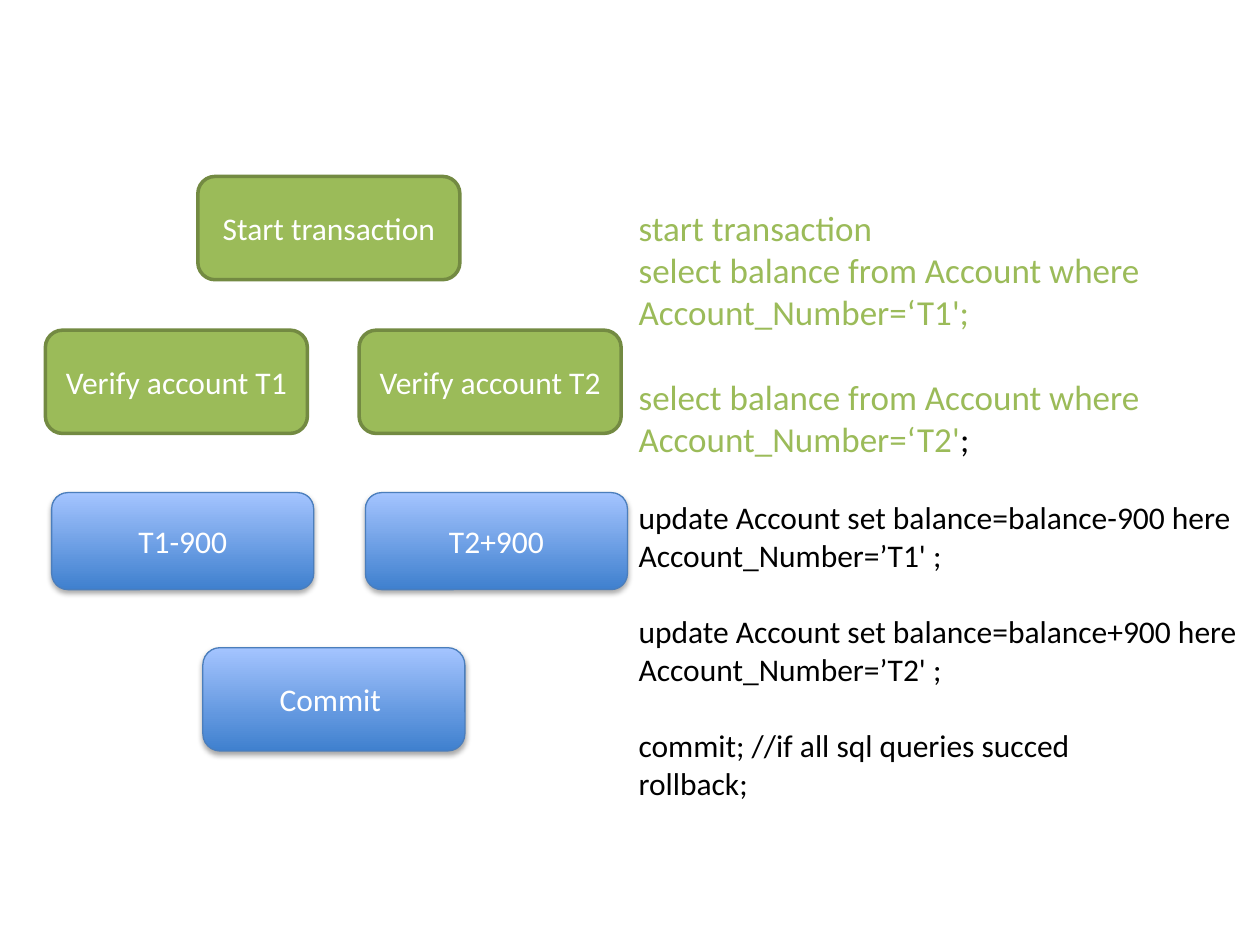
from lxml import etree
from pptx import Presentation
from pptx.dml.color import RGBColor
from pptx.enum import shapes, text
from pptx.oxml import ns
from pptx.util import Inches, Pt

HEX = {
    "green": "9BBB59", "moss": "738A42", "blue": "3F80CE",
    "sky": "A4C4FF", "edge": "4B7EBC", "white": "FFFFFF", "black": "000000",
}
FACE = "Calibri"
WIDE = 2.08
STEPS = [
    ("Start transaction", 1.57, 1.4, 0.82, True),
    ("Verify account T1", 0.36, 2.62, 0.82, True),
    ("Verify account T2", 2.85, 2.62, 0.82, True),
    ("T1-900", 0.41, 3.91, 0.77, False),
    ("T2+900", 2.9, 3.91, 0.77, False),
    ("Commit ", 1.61, 5.14, 0.82, False),
]
CODE = [
    ([("start transaction", "green")], 20, 0),
    ([("select balance from Account where Account_Number=‘T1';", "green")], 20, 0),
    ([("select balance from Account where Account_Number=‘T2'", "green"),
      (";", "black")], 20, 24.4),
    ([("update Account set balance=balance-900 here Account_Number=’T1' ;", "black")], 18, 22),
    ([("update Account set balance=balance+900 here Account_Number=’T2' ;", "black")], 18, 22),
    ([("commit; //if all sql queries succed", "black")], 18, 22),
    ([("rollback;", "black")], 18, 0),
]


def tint(name):
    return RGBColor.from_string(HEX[name])


def add_shadow(box):
    effects = box._element.spPr.find(ns.qn("a:effectLst"))
    outer = etree.SubElement(effects, ns.qn("a:outerShdw"), blurRad="40000",
                             dist="23000", dir="5400000", rotWithShape="0")
    color = etree.SubElement(outer, ns.qn("a:srgbClr"), val=HEX["black"])
    etree.SubElement(color, ns.qn("a:alpha"), val="35000")


def paint_done(box):
    box.fill.solid()
    box.fill.fore_color.rgb = tint("green")
    box.line.color.rgb = tint("moss")
    box.line.width = Pt(2)


def paint_next(box):
    box.fill.gradient()
    box.fill.gradient_angle = 90
    for stop, name in zip(box.fill.gradient_stops, ("blue", "sky")):
        stop.color.rgb = tint(name)
    box.line.color.rgb = tint("edge")
    box.line.width = Pt(0.75)
    add_shadow(box)


def add_step(slide, label, left, top, high, done):
    box = slide.shapes.add_shape(shapes.MSO_SHAPE.ROUNDED_RECTANGLE, Inches(left),
                                 Inches(top), Inches(WIDE), Inches(high))
    box.shadow.inherit = False
    if done:
        paint_done(box)
    else:
        paint_next(box)
    frame = box.text_frame
    frame.vertical_anchor = text.MSO_ANCHOR.MIDDLE
    para = frame.paragraphs[0]
    para.text = label
    para.alignment = text.PP_ALIGN.CENTER
    para.font.name = FACE
    para.font.size = Pt(18)
    para.font.color.rgb = tint("white")


def add_code(slide):
    box = slide.shapes.add_textbox(Inches(4.97), Inches(1.59), Inches(5.26), Inches(5.45))
    frame = box.text_frame
    frame.word_wrap = True
    frame.auto_size = text.MSO_AUTO_SIZE.SHAPE_TO_FIT_TEXT
    for row, (parts, size, gap) in enumerate(CODE):
        para = frame.add_paragraph() if row else frame.paragraphs[0]
        para.space_before = Pt(gap)
        para.font.name = FACE
        para.font.size = Pt(size)
        for words, name in parts:
            run = para.add_run()
            run.text = words
            run.font.color.rgb = tint(name)


def main():
    deck = Presentation()
    deck.slide_width = Inches(10)
    deck.slide_height = Inches(7.5)
    slide = deck.slides.add_slide(deck.slide_layouts[6])
    for step in STEPS:
        add_step(slide, *step)
    add_code(slide)
    deck.save("out.pptx")


if __name__ == "__main__":
    main()
